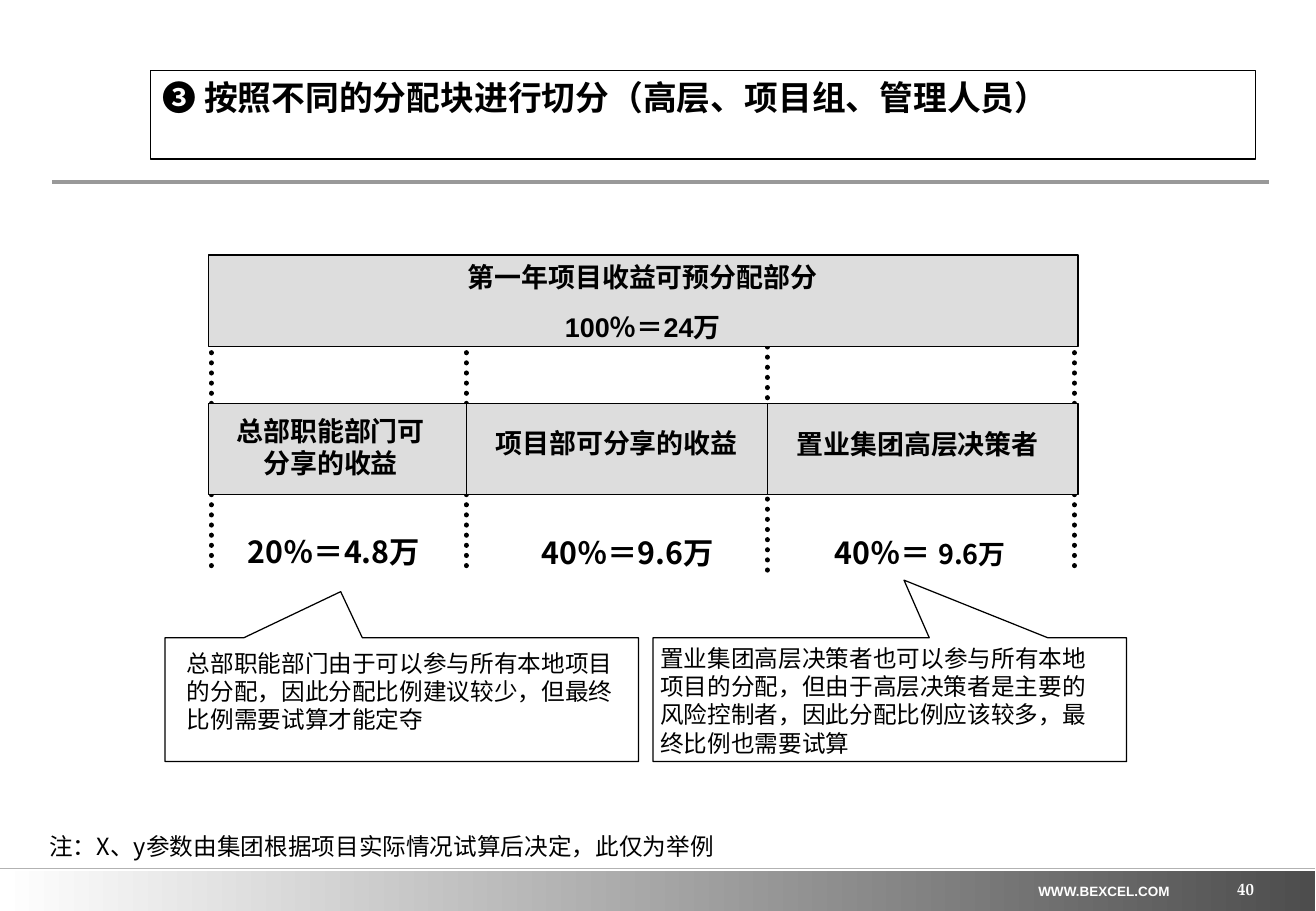
"""Build the slide that splits the first-year project income into shares."""
from dataclasses import dataclass

from lxml import etree
from pptx import Presentation
from pptx import util as u
from pptx.dml.color import RGBColor
from pptx.enum import dml, shapes, text
from pptx.oxml import ns


@dataclass(frozen=True)
class Theme:
    """Colours, fonts and type sizes of the slide."""
    black: str = "000000"
    white: str = "FFFFFF"
    box: str = "DDDDDD"
    rule: str = "999999"
    edge: str = "B2B2B2"
    dark: str = "4D4D4D"
    latin: str = "Arial"
    chinese: str = "Noto Sans CJK SC"
    serif: str = "TeX Gyre Pagella"
    title: int = 20
    share: int = 18
    label: int = 16
    note: int = 14
    page: int = 10
    site: int = 8


def write(shape, paragraphs, size, font, color, bold=False, align="LEFT",
          anchor="TOP", margins=(0.1, 0.05), wrap=True, before=0):
    """Fill a shape with paragraphs, each a list of (text, overrides) runs."""
    frame = shape.text_frame
    frame.word_wrap = wrap
    frame.auto_size = text.MSO_AUTO_SIZE.NONE
    frame.vertical_anchor = getattr(text.MSO_ANCHOR, anchor)
    frame.margin_left = frame.margin_right = u.Inches(margins[0])
    frame.margin_top = frame.margin_bottom = u.Inches(margins[1])
    for index, runs in enumerate(paragraphs):
        paragraph = frame.add_paragraph() if index else frame.paragraphs[0]
        paragraph.alignment = getattr(text.PP_ALIGN, align)
        paragraph.space_before = u.Pt(before if index else 0)
        for words, changes in runs:
            run = paragraph.add_run()
            run.text = words
            run.font.size = u.Pt(changes.get("size", size))
            run.font.bold = bold
            run.font.name = changes.get("font", font)
            run.font.color.rgb = RGBColor.from_string(color)
            east_asian = etree.SubElement(run.font._element, ns.qn("a:ea"))
            east_asian.set("typeface", Theme.chinese)


class Board:
    """Draw themed elements on the current slide."""

    def __init__(self, presentation, theme):
        """Open a slide that has only a title."""
        self.theme = theme
        self.slide = presentation.slides.add_slide(presentation.slide_layouts[5])

    def outline(self, shape, fill):
        """Give a shape a flat fill and a thin black line."""
        shape.fill.solid()
        shape.fill.fore_color.rgb = RGBColor.from_string(fill)
        shape.line.color.rgb = RGBColor.from_string(self.theme.black)
        shape.line.width = u.Pt(0.75)

    def title(self, runs, place):
        """Move the title placeholder and fill it."""
        shape = self.slide.shapes.title
        shape.left, shape.top, shape.width, shape.height = map(u.Inches, place)
        self.outline(shape, self.theme.white)
        write(shape, [runs], self.theme.title, self.theme.latin, self.theme.black, bold=True)

    def shape(self, kind, place, fill):
        """Add an outlined preset shape."""
        shape = self.slide.shapes.add_shape(kind, *map(u.Inches, place))
        shape.shadow.inherit = False
        self.outline(shape, fill)
        return shape

    def box(self, place):
        """Add a grey box."""
        return self.shape(shapes.MSO_SHAPE.RECTANGLE, place, self.theme.box)

    def callout(self, place, tip):
        """Add a callout whose tip is given relative to its size."""
        shape = self.shape(shapes.MSO_SHAPE.RECTANGULAR_CALLOUT, place, self.theme.white)
        shape.adjustments[0], shape.adjustments[1] = tip

    def band(self, place):
        """Add the shaded footer band."""
        shape = self.box(place)
        shape.line.fill.background()
        shape.fill.gradient()
        shape.fill.gradient_angle = 0
        for stop, color in zip(shape.fill.gradient_stops, (self.theme.white, self.theme.dark)):
            stop.color.rgb = RGBColor.from_string(color)

    def line(self, start, end, color, width, dotted=False):
        """Add a straight line, with round dots if asked."""
        line = self.slide.shapes.add_connector(
            shapes.MSO_CONNECTOR.STRAIGHT, *map(u.Inches, (*start, *end)))
        line.line.color.rgb = RGBColor.from_string(color)
        line.line.width = u.Pt(width)
        if dotted:
            line.line.dash_style = dml.MSO_LINE.ROUND_DOT
            line.line._ln.set("cap", "rnd")
        etree.SubElement(line._element.spPr, ns.qn("a:effectLst"))

    def text(self, paragraphs, place, size, font=None, color=None, **style):
        """Add a text box."""
        shape = self.slide.shapes.add_textbox(*map(u.Inches, place))
        write(shape, paragraphs, size, font or self.theme.latin,
              color or self.theme.black, **style)


def main():
    """Build and save the slide."""
    theme = Theme()
    presentation = Presentation()
    presentation.slide_width, presentation.slide_height = u.Inches(10.84), u.Inches(7.5)
    board = Board(presentation, theme)

    board.band((0, 7.17, 10.83, 0.33))
    board.line((0.43, 1.5), (10.45, 1.5), theme.rule, 2.5)
    board.line((0, 7.15), (10.83, 7.15), theme.edge, 1)
    board.text([[("WWW.BEXCEL.COM", {})]], (8.45, 7.22, 1.29, 0.24), theme.site,
               color=theme.white, bold=True, align="CENTER", wrap=False)
    board.text([[("40", {})]], (8.07, 7.07, 2.26, 0.33), theme.page, theme.serif,
               theme.white, bold=True, align="RIGHT", anchor="BOTTOM", margins=(0, 0))
    board.title([("❸ ", {}), ("按照不同的分配块进行切分（高层、项目组、管理人员）",
                              {"font": theme.chinese})], (1.24, 0.58, 9.1, 0.73))

    for x, top, bottom in ((1.74, 2.57, 4.66), (3.84, 2.57, 4.66),
                           (6.32, 2.69, 4.77), (8.85, 2.57, 4.66)):
        board.line((x, top), (x, bottom), theme.black, 3, dotted=True)

    edges = (1.72, 3.84, 6.32, 8.88)
    board.box((edges[0], 2.1, edges[-1] - edges[0], 0.75))
    board.text([[("第一年项目收益可预分配部分", {})], [("100％＝24万", {})]],
               (1.98, 2.1, 6.63, 0.77), theme.label, bold=True, align="CENTER", before=10)

    parts = (
        ("总部职能部门可分享的收益", (1.76, 3.36, 1.93, 0.64),
         [("20％＝4.8万", {})], (1.91, 4.39, 1.68, 0.3)),
        ("项目部可分享的收益", (3.88, 3.46, 2.4, 0.37),
         [("40％＝9.6万", {})], (4.33, 4.4, 1.68, 0.3)),
        ("置业集团高层决策者", (6.36, 3.47, 2.4, 0.37),
         [("40％＝ ", {}), ("9.6万", {"size": theme.label})], (6.72, 4.4, 1.72, 0.3)),
    )
    for left, right, (label, label_place, share, share_place) in zip(edges, edges[1:], parts):
        board.box((left, 3.32, right - left, 0.75))
        board.text([[(label, {})]], label_place, theme.label, bold=True, align="CENTER")
        board.text([share], share_place, theme.share, theme.chinese, bold=True,
                   align="CENTER", margins=(0, 0), wrap=False)

    remarks = (
        (1.36, (-0.129, -0.872), (1.44, 5.29, 3.82, 0.8),
         [("总部职能部门由于可以参与所有本地项目的分配，因此分配比例建议较少，但最终比例需要试算才能定夺", {})]),
        (5.38, (0.03, -0.965), (5.34, 5.25, 3.82, 1.04),
         [("置业集团高层决策者", {"font": theme.chinese}),
          ("也可以参与所有本地项目的分配，但由于高层决策者是主要的风险控制者，"
           "因此分配比例应该较多，最终比例也需要试算", {})]),
    )
    for left, tip, place, runs in remarks:
        board.callout((left, 5.25, 3.9, 1.02), tip)
        board.text([runs], place, theme.note)

    board.text([[("注：X、y参数由集团根据项目实际情况试算后决定，此仅为举例", {})]],
               (0.3, 6.85, 5.69, 0.23), theme.note, theme.chinese,
               align="CENTER", margins=(0, 0), wrap=False)
    presentation.save("out.pptx")


if __name__ == "__main__":
    main()
